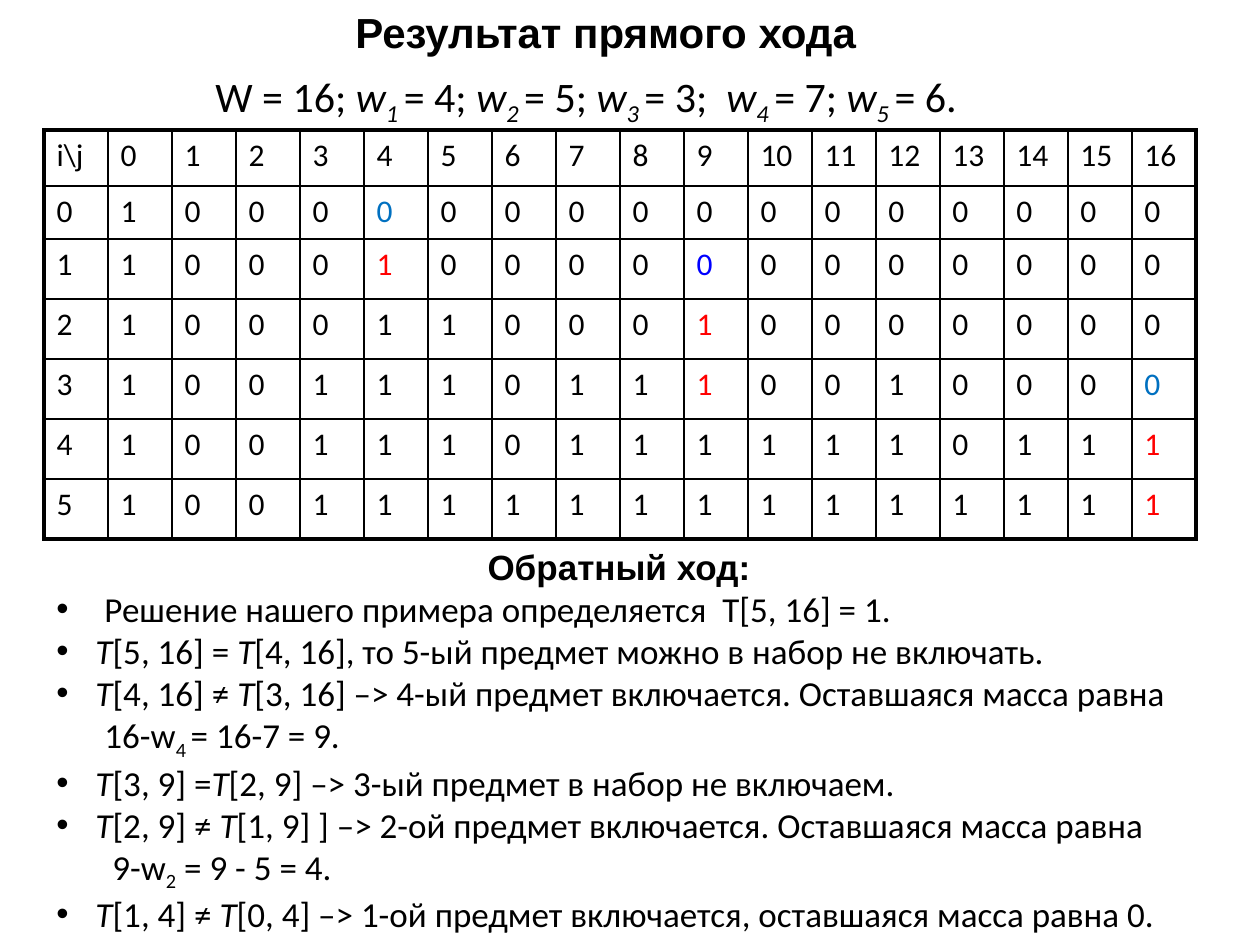
"""Build the knapsack slide: forward-pass table and backtracking steps."""
from dataclasses import dataclass
from typing import Any, NamedTuple

from lxml.etree import SubElement
from pptx import Presentation
from pptx.dml.color import RGBColor as Color
from pptx.enum.text import PP_ALIGN as Align
from pptx.oxml.ns import qn
from pptx.util import Emu, Pt


@dataclass(frozen=True)
class Theme:
    black: str = "000000"
    red: str = "FF0000"
    azure: str = "0070C0"
    blue: str = "0000FF"
    heading_font: str = "Arial"
    body_font: str = "Calibri"
    title_size: int = 24
    body_size: int = 20
    cell_size: int = 18
    inner_line: float = 1
    outer_line: float = 2.25


class Box(NamedTuple):
    left: int
    top: int
    width: int
    height: int


class Piece(NamedTuple):
    text: str
    italic: bool = False
    subscript: bool = False


@dataclass(frozen=True)
class Line:
    pieces: list[Piece]
    font: dict[str, Any]
    indent: int = 0
    bullet: bool = False
    align: Align = Align.LEFT


THEME = Theme()
EMU_PER_PX = 914400 / 126
TITLE = {"name": THEME.heading_font, "size": Pt(THEME.title_size), "bold": True}
EQUATION = {"name": THEME.body_font, "size": Pt(THEME.title_size), "bold": False}
HEADING = {"name": THEME.heading_font, "size": Pt(THEME.body_size), "bold": True}
BODY = {"name": THEME.body_font, "size": Pt(THEME.body_size), "bold": False}
CELL = {"name": THEME.body_font, "size": Pt(THEME.cell_size), "bold": False}

WEIGHTS = [4, 5, 3, 7, 6]
ROW_HEIGHTS = [56, 53] + [60] * 5
COLUMN_WIDTH = 64
REACHABLE = [
    "10000000000000000",
    "10001000000000000",
    "10001100010000000",
    "10011101100010000".replace("1000", "1100", 0),
    "10011101111110111",
    "10011111111111111",
]
REACHABLE[3] = "10011101110010000"
HIGHLIGHTS = {
    (0, 4): THEME.azure, (1, 4): THEME.red, (1, 9): THEME.blue,
    (2, 9): THEME.red, (3, 9): THEME.red, (3, 16): THEME.azure,
    (4, 16): THEME.red, (5, 16): THEME.red,
}


def px(value: int) -> Emu:
    return Emu(round(value * EMU_PER_PX))


def set_attributes(target: Any, values: dict[str, Any]) -> None:
    for name, value in values.items():
        setattr(target, name, value)


def write_line(paragraph: Any, line: Line) -> None:
    paragraph.alignment = line.align
    properties = paragraph._p.get_or_add_pPr()
    properties.set("marL", str(px(line.indent)))
    properties.set("indent", str(px(-line.indent if line.bullet else 0)))
    if line.bullet:
        colour = SubElement(properties, qn("a:buClr"))
        SubElement(colour, qn("a:srgbClr"), val=THEME.black)
        SubElement(properties, qn("a:buFont"), typeface=THEME.heading_font)
        SubElement(properties, qn("a:buChar"), char="•")
    for piece in line.pieces:
        run = paragraph.add_run()
        run.text = piece.text
        set_attributes(run.font, line.font | {"italic": piece.italic})
        run.font.color.rgb = Color.from_string(THEME.black)
        if piece.subscript:
            run._r.get_or_add_rPr().set("baseline", "-25000")


def add_text(slide: Any, box: Box, lines: list[Line]) -> None:
    frame = slide.shapes.add_textbox(*map(px, box)).text_frame
    frame.word_wrap = True
    for index, line in enumerate(lines):
        write_line(frame.add_paragraph() if index else frame.paragraphs[0], line)


def draw_borders(cell: Any, outer_sides: dict[str, bool]) -> None:
    properties = cell._tc.get_or_add_tcPr()
    for side, outer in outer_sides.items():
        width = Pt(THEME.outer_line if outer else THEME.inner_line)
        border = SubElement(properties, qn(f"a:ln{side}"), w=str(width))
        fill = SubElement(border, qn("a:solidFill"))
        SubElement(fill, qn("a:srgbClr"), val=THEME.black)


def add_grid(slide: Any, left: int, top: int) -> None:
    header = ["i\\j", *map(str, range(len(REACHABLE[0])))]
    rows = [header] + [[str(item), *bits] for item, bits in enumerate(REACHABLE)]
    box = Box(left, top, COLUMN_WIDTH * len(header), sum(ROW_HEIGHTS))
    table = slide.shapes.add_table(len(rows), len(header), *map(px, box)).table
    set_attributes(table, {"first_row": False, "horz_banding": False})
    for column in table.columns:
        column.width = px(COLUMN_WIDTH)
    for row_index, (values, height) in enumerate(zip(rows, ROW_HEIGHTS)):
        table.rows[row_index].height = px(height)
        for column_index, value in enumerate(values):
            cell = table.cell(row_index, column_index)
            draw_borders(cell, {
                "L": column_index == 0, "R": column_index == len(header) - 1,
                "T": row_index == 0, "B": row_index == len(rows) - 1,
            })
            cell.fill.background()
            cell.text = value
            font = cell.text_frame.paragraphs[0].runs[0].font
            set_attributes(font, CELL)
            colour = HIGHLIGHTS.get((row_index - 1, column_index - 1), THEME.black)
            font.color.rgb = Color.from_string(colour)


def weights_line() -> Line:
    pieces = [Piece("W = 16; ")]
    for number, weight in enumerate(WEIGHTS, 1):
        ending = {3: ";  ", len(WEIGHTS): "."}.get(number, "; ")
        pieces += [Piece("w", True), Piece(f"{number} ", True, True),
                   Piece(f"= {weight}{ending}")]
    return Line(pieces, EQUATION)


def step(first: str, second: str) -> Line:
    pieces = [Piece("T", True), Piece(first), Piece("T", True), Piece(second)]
    return Line(pieces, BODY, 39, True)


def remainder(before: str, index: str, after: str, indent: int) -> Line:
    pieces = [Piece(before), Piece(index, subscript=True), Piece(after)]
    return Line(pieces, BODY, indent)


def main() -> None:
    presentation = Presentation()
    set_attributes(presentation, {"slide_width": px(1260), "slide_height": px(945)})
    slide = presentation.slides.add_slide(presentation.slide_layouts[6])
    add_text(slide, Box(203, 64, 888, 89), [weights_line()])
    add_grid(slide, 44, 130)
    add_text(slide, Box(44, 539, 1150, 437), [
        Line([Piece("Обратный ход:")], HEADING, align=Align.CENTER),
        Line([Piece("Решение нашего примера определяется  T[5, 16] = 1.")], BODY, 48, True),
        step("[5, 16] = ", "[4, 16], то 5-ый предмет можно в набор не включать."),
        step("[4, 16] ≠ ", "[3, 16] –> 4-ый предмет включается. Оставшаяся масса равна"),
        remainder("16-w", "4 ", "= 16-7 = 9.", 48),
        step("[3, 9] =", "[2, 9] –> 3-ый предмет в набор не включаем."),
        step("[2, 9] ≠ ", "[1, 9] ] –> 2-oй предмет включается. Оставшаяся масса равна"),
        remainder("9-w", "2", " = 9 - 5 = 4.", 56),
        step("[1, 4] ≠ ", "[0, 4] –> 1-oй предмет включается, оставшаяся масса равна 0."),
    ])
    add_text(slide, Box(343, 0, 530, 63), [Line([Piece("Результат прямого хода")], TITLE)])
    presentation.save("out.pptx")


if __name__ == "__main__":
    main()
